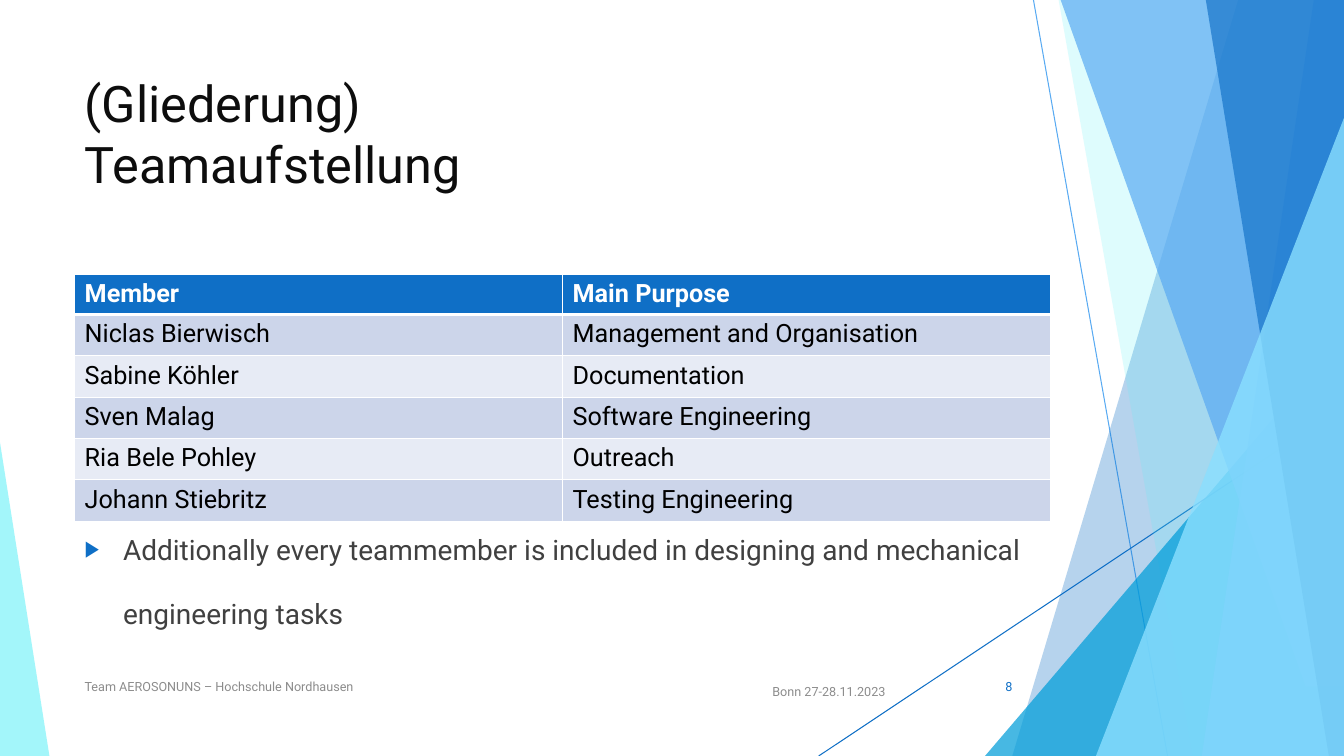
import pptx
import pptx.util
import pptx.oxml.ns
import pptx.oxml.xmlchemy
import pptx.dml.color
import pptx.enum.shapes
import pptx.enum.text

Inches = pptx.util.Inches
Pt = pptx.util.Pt
qn = pptx.oxml.ns.qn
new_element = pptx.oxml.xmlchemy.OxmlElement

FONT = "Roboto"
COLORS = {
    "white": "FFFFFF", "black": "000000", "title": "0D0D0D", "body": "404040",
    "footer": "8C8C8C", "blue": "0F6FC6", "sky": "59AAF2", "aqua": "5EF0F7",
    "teal": "009DD9", "mint": "94F5FA", "ice": "8ADFFF",
    "band_dark": "CCD5EA", "band_light": "E7EBF5",
}

HEADING = "(Gliederung)\vTeamaufstellung"
TEAM = [
    ("Member", "Main Purpose"),
    ("Niclas Bierwisch", "Management and Organisation"),
    ("Sabine Köhler", "Documentation"),
    ("Sven Malag", "Software Engineering"),
    ("Ria Bele Pohley", "Outreach"),
    ("Johann Stiebritz", "Testing Engineering"),
]
REMARK = "Additionally every teammember is included in designing and mechanical engineering tasks"
FOOTERS = [
    ("Bonn 27-28.11.2023", (7.37, 6.71, 1.51, 0.3), "RIGHT", "footer"),
    ("Team AEROSONUNS – Hochschule Nordhausen", (0.74, 6.61, 6.89, 0.4), "LEFT", "footer"),
    ("8", (9.39, 6.61, 0.75, 0.4), "RIGHT", "blue"),
]
RAYS = [((10.25, 0), (11.58, 7.5), "sky"), ((13.33, 4.03), (8.12, 7.5), "blue")]
FACETS = [
    ("band", (12.28, 10.04, 7.5), "blue", 30),
    ("band", (10.5, 11.83, 7.5), "aqua", 20),
    ("triangle", (9.77, 3.33, 3.56, 4.17, 1), "teal", 72),
    ("band", (10.52, 12.95, 6.81), "sky", 70),
    ("band", (13.03, 11.92, 7.5), "sky", 70),
    ("band", (11.96, 13.18, 7.5), "blue", 65),
    ("triangle", (0, 4.39, 0.49, 3.11, 0), "mint", 85),
    ("triangle", (10.87, 1.17, 2.46, 6.33, 1), "ice", 80),
]
SLIDE_WIDTH, SLIDE_HEIGHT = 13.33, 7.5


def rgb(name):
    return pptx.dml.color.RGBColor.from_string(COLORS[name])


def style_runs(paragraph, size, color, bold=False):
    for run in paragraph.runs:
        run.font.name = FONT
        run.font.size = Pt(size)
        run.font.bold = bold
        run.font.color.rgb = rgb(color)


def place(shape, box):
    shape.left, shape.top, shape.width, shape.height = map(Inches, box)


def add_ray(slide, start, end, color):
    ray = slide.shapes.add_connector(
        pptx.enum.shapes.MSO_CONNECTOR.STRAIGHT, *map(Inches, start + end))
    ray.line.color.rgb = rgb(color)
    ray.line.width = Pt(0.75)
    ray._element.spPr.append(new_element("a:effectLst"))


def add_facet(slide, kind, geometry, color, opacity):
    if kind == "band":
        top_x, bottom_x, bottom = geometry
        corners = [(SLIDE_WIDTH, 0), (SLIDE_WIDTH, bottom), (bottom_x, bottom)]
        outline = slide.shapes.build_freeform(Inches(top_x), 0)
        outline.add_line_segments([tuple(map(Inches, corner)) for corner in corners])
        facet = outline.convert_to_shape()
    else:
        facet = slide.shapes.add_shape(
            pptx.enum.shapes.MSO_SHAPE.ISOSCELES_TRIANGLE, *map(Inches, geometry[:4]))
        facet.adjustments[0] = geometry[4]
    facet.shadow.inherit = False
    facet.line.fill.background()
    facet.fill.solid()
    facet.fill.fore_color.rgb = rgb(color)
    alpha = new_element("a:alpha")
    alpha.set("val", str(opacity * 1000))
    next(facet._element.iter(qn("a:srgbClr"))).append(alpha)


def add_color(parent, name):
    color = new_element("a:srgbClr")
    color.set("val", COLORS[name])
    parent.append(color)


def add_borders(cell, top, bottom):
    properties = cell._tc.get_or_add_tcPr()
    edges = [("lnL", 1), ("lnR", 1), ("lnT", top), ("lnB", bottom)]
    for position, (edge, width) in enumerate(edges):
        border = new_element("a:" + edge)
        border.set("w", str(Pt(width)))
        fill = new_element("a:solidFill")
        add_color(fill, "white")
        border.append(fill)
        properties.insert(position, border)


def add_team_table(slide):
    table = slide.shapes.add_table(
        len(TEAM), 2, Inches(0.74), Inches(2.72), Inches(9.68), Inches(2.42)).table
    for row, entries in enumerate(TEAM):
        header = row == 0
        table.rows[row].height = Inches(0.37 if header else 0.41)
        band = "blue" if header else "band_dark" if row % 2 else "band_light"
        for column, entry in enumerate(entries):
            cell = table.cell(row, column)
            cell.text_frame.text = entry
            style_runs(cell.text_frame.paragraphs[0], 18,
                       "white" if header else "black", header)
            cell.fill.solid()
            cell.fill.fore_color.rgb = rgb(band)
            add_borders(cell, 3 if row == 1 else 1, 3 if header else 1)


def fill_heading(heading):
    place(heading, (0.74, 0.67, 9.4, 1.44))
    frame = heading.text_frame
    frame.text = HEADING
    frame.auto_size = pptx.enum.text.MSO_AUTO_SIZE.NONE
    frame.vertical_anchor = pptx.enum.text.MSO_ANCHOR.TOP
    frame.paragraphs[0].alignment = pptx.enum.text.PP_ALIGN.LEFT
    style_runs(frame.paragraphs[0], 36, "title")


def fill_remark(remark):
    place(remark, (0.74, 2.36, 10.41, 4.24))
    frame = remark.text_frame
    frame.text = REMARK
    frame.auto_size = pptx.enum.text.MSO_AUTO_SIZE.NONE
    frame.vertical_anchor = pptx.enum.text.MSO_ANCHOR.BOTTOM
    frame.margin_bottom = Inches(0.35)
    paragraph = frame.paragraphs[0]
    paragraph.line_spacing = 1.9
    paragraph.space_before = Pt(10)
    style_runs(paragraph, 20, "body")
    properties = paragraph._p.get_or_add_pPr()
    properties.set("marL", str(Inches(0.38)))
    properties.set("indent", str(-Inches(0.38)))
    bullet_color = new_element("a:buClr")
    add_color(bullet_color, "blue")
    properties.append(bullet_color)
    for tag, key, value in [("a:buSzPct", "val", "80000"),
                            ("a:buFont", "typeface", "Arial"),
                            ("a:buChar", "char", "▶")]:
        part = new_element(tag)
        part.set(key, value)
        properties.append(part)


def add_footer(slide, wording, box, alignment, color):
    frame = slide.shapes.add_textbox(*map(Inches, box)).text_frame
    frame.word_wrap = True
    frame.vertical_anchor = pptx.enum.text.MSO_ANCHOR.MIDDLE
    frame.text = wording
    frame.paragraphs[0].alignment = getattr(pptx.enum.text.PP_ALIGN, alignment)
    style_runs(frame.paragraphs[0], 9, color)


def main():
    presentation = pptx.Presentation()
    presentation.slide_width = Inches(SLIDE_WIDTH)
    presentation.slide_height = Inches(SLIDE_HEIGHT)
    slide = presentation.slides.add_slide(presentation.slide_layouts[1])
    heading, remark = slide.placeholders
    for ray in RAYS:
        add_ray(slide, *ray)
    for facet in FACETS:
        add_facet(slide, *facet)
    fill_heading(heading)
    fill_remark(remark)
    for placeholder in (heading, remark):
        slide.shapes._spTree.append(placeholder._element)
    for footer in FOOTERS:
        add_footer(slide, *footer)
    add_team_table(slide)
    presentation.save("out.pptx")


if __name__ == "__main__":
    main()
